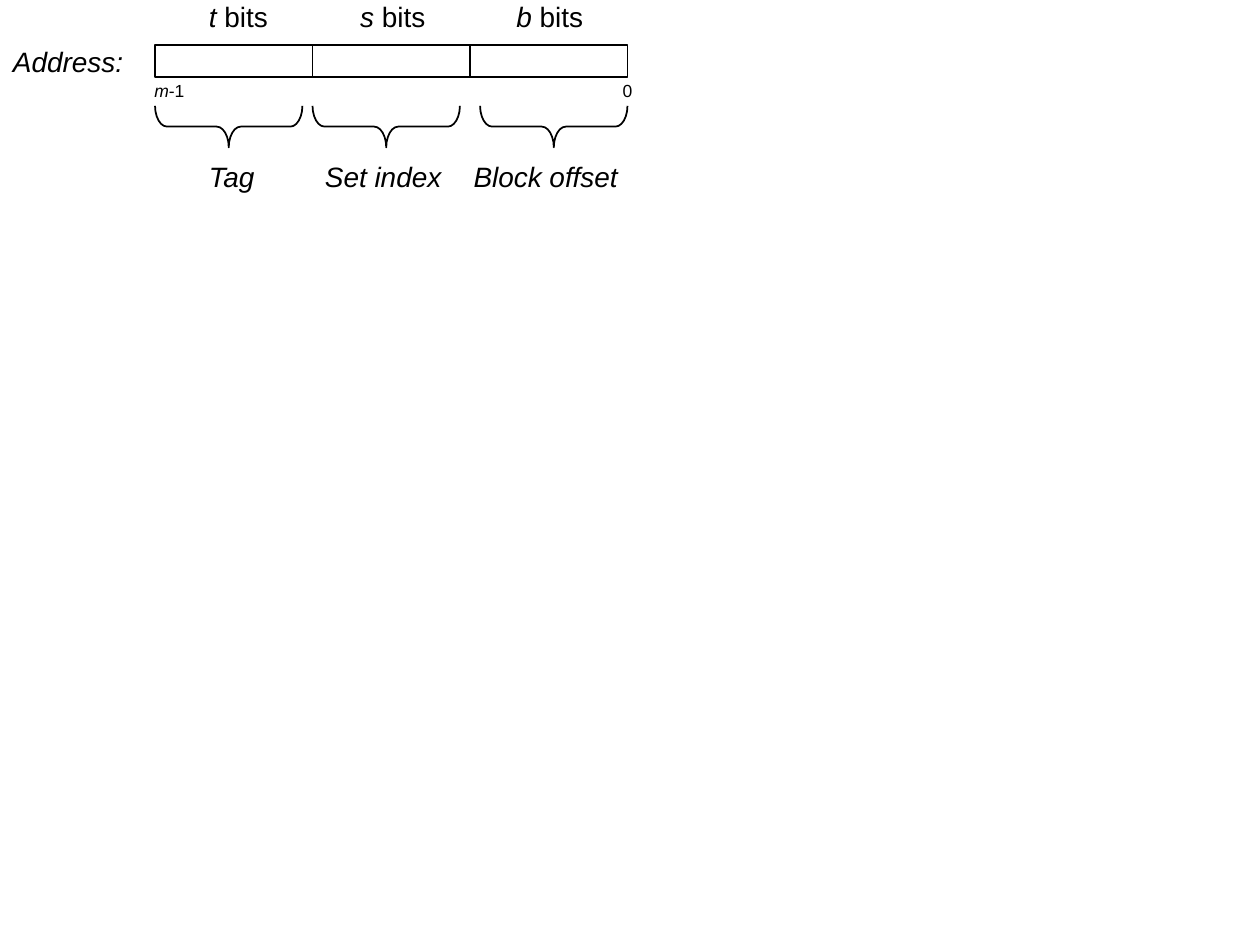
from dataclasses import dataclass

import pptx
import pptx.dml.color
import pptx.enum.shapes
import pptx.enum.text
import pptx.util

Pt = pptx.util.Pt
Shape = pptx.enum.shapes.MSO_SHAPE
Align = pptx.enum.text.PP_ALIGN
Anchor = pptx.enum.text.MSO_ANCHOR
Run = tuple[str, bool]  # text, italic


@dataclass(frozen=True)
class Theme:
    font: str = "Arial"
    ink: pptx.dml.color.RGBColor = pptx.dml.color.RGBColor(0, 0, 0)
    label_size: float = 16
    bit_size: float = 10
    line_width: float = 1


@dataclass(frozen=True)
class Field:
    bits: tuple[Run, ...]
    bits_left: float
    bits_width: float
    name: str
    name_left: float
    name_width: float
    wrap_name: bool = False
    brace_at_right: bool = False


THEME = Theme()
BAR_LEFT, BAR_TOP = 88.56, 25.9
FIELD_WIDTH, FIELD_HEIGHT = 90, 18
BRACE_SPAN, BRACE_DEPTH, BRACE_TOP = 84.24, 23.76, 60.48
LABEL_HEIGHT, BITS_TOP, NAMES_TOP = 25.9, -3.6, 87.8
BIT_NUMBER_TOP, BIT_NUMBER_HEIGHT = 41.8, 19.4

FIELDS = (
    Field((("t ", True), ("bits", False)), 112.3, 48.2, "Tag", 112.3, 41.8),
    Field((("s", True), (" bits", False)), 198.7, 51.8, "Set index", 178.6, 90,
          wrap_name=True),
    Field((("b", True), (" bits", False)), 288, 52.6, "Block offset", 263.5, 97.2,
          brace_at_right=True),
)


def add_text(slide, runs: tuple[Run, ...], left: float, top: float, width: float,
             height: float, *, size: float = THEME.label_size, wrap: bool = False,
             align=Align.LEFT, anchor=Anchor.TOP) -> None:
    frame = slide.shapes.add_textbox(Pt(left), Pt(top), Pt(width), Pt(height)).text_frame
    frame.word_wrap = wrap
    frame.auto_size = pptx.enum.text.MSO_AUTO_SIZE.SHAPE_TO_FIT_TEXT
    frame.vertical_anchor = anchor
    paragraph = frame.paragraphs[0]
    paragraph.alignment = align
    for text, italic in runs:
        run = paragraph.add_run()
        run.text = text
        run.font.name = THEME.font
        run.font.size = Pt(size)
        run.font.italic = italic
        run.font.color.rgb = THEME.ink


def add_outline(slide, preset, left: float, top: float, width: float, height: float):
    outline = slide.shapes.add_shape(preset, Pt(left), Pt(top), Pt(width), Pt(height))
    outline.shadow.inherit = False
    outline.fill.background()
    outline.line.color.rgb = THEME.ink
    outline.line.width = Pt(THEME.line_width)
    return outline


def add_brace_below(slide, left: float) -> None:
    # A right brace turned to point down, rotated about its centre
    inset = (BRACE_SPAN - BRACE_DEPTH) / 2
    brace = add_outline(slide, Shape.RIGHT_BRACE, left + inset, BRACE_TOP - inset,
                        BRACE_DEPTH, BRACE_SPAN)
    brace.adjustments[0] = 0.29
    brace.adjustments[1] = 0.5
    brace.rotation = 90


def add_field(slide, index: int, field: Field) -> None:
    left = BAR_LEFT + index * FIELD_WIDTH
    add_outline(slide, Shape.RECTANGLE, left, BAR_TOP, FIELD_WIDTH, FIELD_HEIGHT)
    add_text(slide, field.bits, field.bits_left, BITS_TOP, field.bits_width, LABEL_HEIGHT)
    add_text(slide, ((field.name, True),), field.name_left, NAMES_TOP,
             field.name_width, LABEL_HEIGHT, wrap=field.wrap_name)
    shift = FIELD_WIDTH - BRACE_SPAN if field.brace_at_right else 0
    add_brace_below(slide, left + shift)


def main() -> None:
    deck = pptx.Presentation()
    deck.slide_width, deck.slide_height = Pt(720), Pt(540)
    slide = deck.slides.add_slide(deck.slide_layouts[6])

    # Address fields with their widths, names and braces
    for index, field in enumerate(FIELDS):
        add_field(slide, index, field)

    # Highest and lowest bit numbers
    for bit_number, left, width in (
        ((("m", True), ("-1", False)), 80.6, 32.4),
        ((("0", False),), 348.5, 20.2),
    ):
        add_text(slide, bit_number, left, BIT_NUMBER_TOP, width, BIT_NUMBER_HEIGHT,
                 size=THEME.bit_size, align=Align.CENTER, anchor=Anchor.MIDDLE)

    # Caption of the bar
    add_text(slide, (("Address:", True),), 0, 21.6, 77.8, 26.6,
             align=Align.CENTER, anchor=Anchor.MIDDLE)

    deck.save("out.pptx")


if __name__ == "__main__":
    main()
